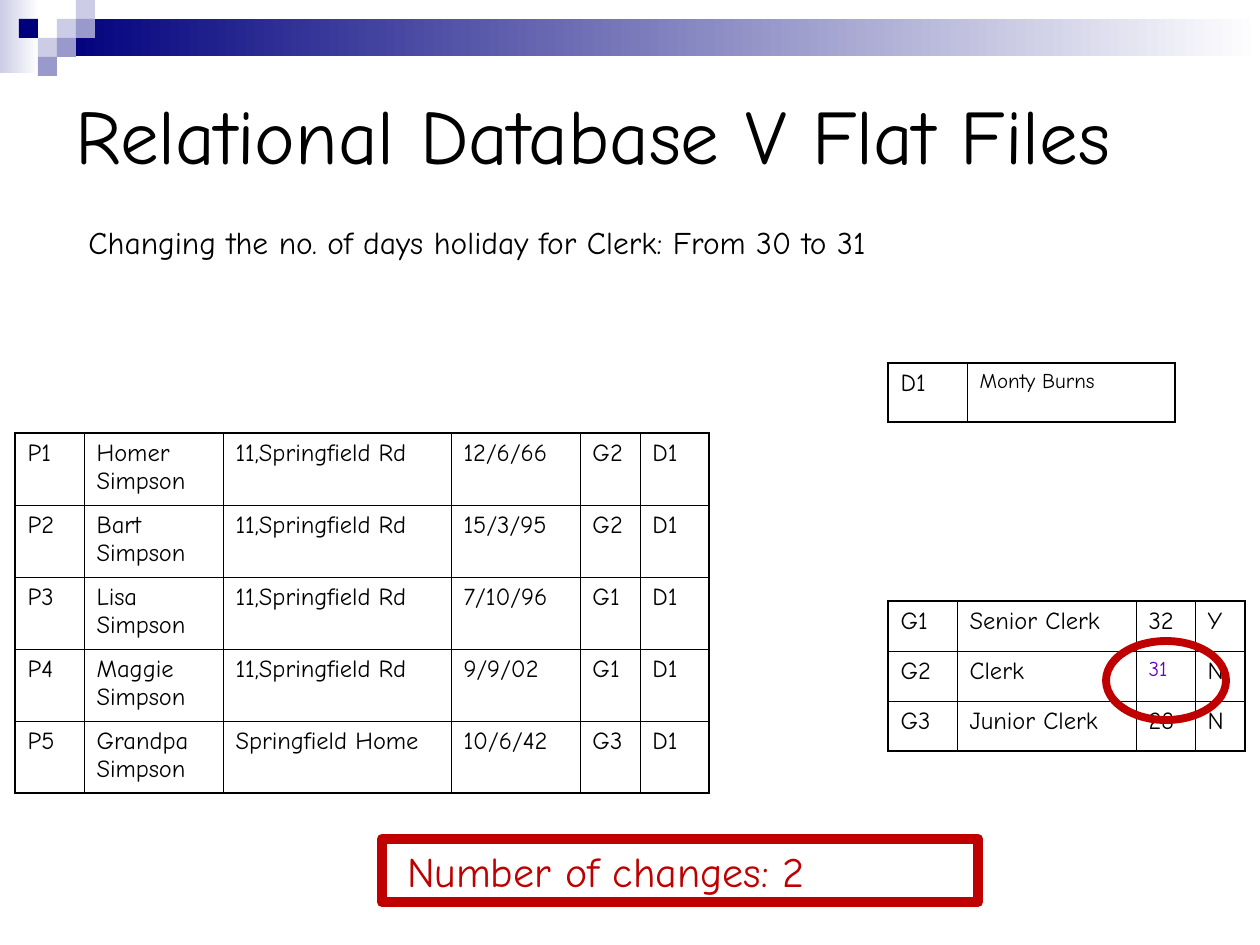
from dataclasses import dataclass, field

from lxml import etree
from pptx import Presentation
from pptx import util as u
from pptx.dml.color import RGBColor
from pptx.enum import shapes, text
from pptx.oxml.ns import qn

FONT = "Comic Neue"
COLORS = {
    "navy": "00007D", "lilac": "9999CC", "pale": "CCCCE6", "white": "FFFFFF",
    "black": "000000", "violet": "6600CC", "red": "C00000",
}
OUTER, INNER = 1.08, 0.45  # table rules, in points
SQUARE = 19


@dataclass(frozen=True)
class TextStyle:
    size: int
    color: str = "black"


@dataclass(frozen=True)
class Box:
    left: int
    top: int
    width: int
    height: int


@dataclass(frozen=True)
class Square:
    column: int
    row: int
    color: str


@dataclass(frozen=True)
class Grid:
    left: int
    top: int
    columns: list[int]
    row_height: int
    rows: list[list[str]]
    special: dict[tuple[int, int], TextStyle] = field(default_factory=dict)


CELL = TextStyle(14)

SQUARES = [
    Square(3, 1, "pale"), Square(4, 0, "pale"), Square(4, 1, "lilac"),
    Square(2, 2, "pale"), Square(1, 1, "navy"), Square(3, 2, "lilac"),
    Square(2, 3, "lilac"),
]

DEPARTMENT = Grid(888, 363, [79, 208], 59, [["D1", "Monty Burns"]],
                  {(0, 1): TextStyle(12)})
GRADES = Grid(888, 601, [69, 179, 59, 50], 50, [
    ["G1", "Senior Clerk", "32", "Y"],
    ["G2", "Clerk", "31", "N"],
    ["G3", "Junior Clerk", "28", "N"],
], {(1, 2): TextStyle(12, "violet")})
PEOPLE = Grid(15, 433, [69, 139, 228, 129, 60, 69], 72, [
    ["P1", "Homer Simpson", "11,Springfield Rd", "12/6/66", "G2", "D1"],
    ["P2", "Bart Simpson", "11,Springfield Rd", "15/3/95", "G2", "D1"],
    ["P3", "Lisa Simpson", "11,Springfield Rd", "7/10/96", "G1", "D1"],
    ["P4", "Maggie Simpson", "11,Springfield Rd", "9/9/02", "G1", "D1"],
    ["P5", "Grandpa Simpson", "Springfield Home", "10/6/42", "G3", "D1"],
])


def px(length: int) -> u.Emu:
    return u.Emu(round(length * 914400 / 126))


def rgb(name: str) -> RGBColor:
    return RGBColor.from_string(COLORS[name])


def frame(box: Box) -> tuple:
    return px(box.left), px(box.top), px(box.width), px(box.height)


def write(holder, words: str, style: TextStyle) -> None:
    holder.text = words
    paragraph = holder.paragraphs[0]
    paragraph.alignment = text.PP_ALIGN.LEFT
    for run in paragraph.runs:
        run.font.name = FONT
        run.font.size = u.Pt(style.size)
        run.font.color.rgb = rgb(style.color)


def add_label(slide, box: Box, words: str, style: TextStyle, wrap: bool) -> None:
    label = slide.shapes.add_textbox(*frame(box)).text_frame
    label.word_wrap = wrap
    label.vertical_anchor = text.MSO_ANCHOR.MIDDLE
    write(label, words, style)


def add_block(slide, box: Box, color: str, fade: bool = False) -> None:
    block = slide.shapes.add_shape(shapes.MSO_SHAPE.RECTANGLE, *frame(box))
    block.shadow.inherit = False
    block.line.fill.background()
    if fade:
        block.fill.gradient()
        block.fill.gradient_angle = 0
        for stop, name in zip(block.fill.gradient_stops, (color, "white")):
            stop.color.rgb = rgb(name)
    else:
        block.fill.solid()
        block.fill.fore_color.rgb = rgb(color)


def add_outline(slide, kind, box: Box, points: float):
    outline = slide.shapes.add_shape(kind, *frame(box))
    outline.shadow.inherit = False
    outline.fill.background()
    outline.line.color.rgb = rgb("red")
    outline.line.width = u.Pt(points)
    return outline


def rule_cell(cell, edges: dict[str, bool]) -> None:
    properties = cell._tc.get_or_add_tcPr()
    for tag, outer in edges.items():
        width = u.Pt(OUTER if outer else INNER)
        line = etree.SubElement(properties, qn(f"a:{tag}"), w=str(width))
        fill = etree.SubElement(line, qn("a:solidFill"))
        etree.SubElement(fill, qn("a:srgbClr"), val=COLORS["black"])


def add_grid(slide, grid: Grid) -> None:
    last_row, last_column = len(grid.rows) - 1, len(grid.columns) - 1
    box = Box(grid.left, grid.top, sum(grid.columns),
              grid.row_height * len(grid.rows))
    table = slide.shapes.add_table(last_row + 1, last_column + 1, *frame(box)).table
    table.first_row = table.horz_banding = False
    for column, width in zip(table.columns, grid.columns):
        column.width = px(width)
    for r, record in enumerate(grid.rows):
        table.rows[r].height = px(grid.row_height)
        for c, words in enumerate(record):
            cell = table.cell(r, c)
            rule_cell(cell, {"lnL": c == 0, "lnR": c == last_column,
                             "lnT": r == 0, "lnB": r == last_row})
            cell.fill.background()
            write(cell.text_frame, words, grid.special.get((r, c), CELL))


def main() -> None:
    deck = Presentation()
    deck.slide_width, deck.slide_height = px(1260), px(945)
    slide = deck.slides.add_slide(deck.slide_layouts[6])

    # Header band and squares
    add_block(slide, Box(0, 0, 39, 73), "pale", fade=True)
    add_block(slide, Box(57, 19, 1203, 37), "navy", fade=True)
    for square in SQUARES:
        add_block(slide, Box(square.column * SQUARE, square.row * SQUARE,
                             SQUARE, SQUARE), square.color)

    # Title
    add_label(slide, Box(63, 63, 1197, 141), "Relational Database V Flat Files",
              TextStyle(44), wrap=True)

    # Related tables
    for grid in (DEPARTMENT, GRADES, PEOPLE):
        add_grid(slide, grid)

    # Count of changes
    count = add_outline(slide, shapes.MSO_SHAPE.RECTANGLE,
                        Box(382, 839, 596, 63), 6).text_frame
    count.margin_left = px(25)
    count.vertical_anchor = text.MSO_ANCHOR.MIDDLE
    write(count, "Number of changes: 2", TextStyle(24, "red"))

    # Task line and ring around the changed value
    add_label(slide, Box(76, 217, 805, 50),
              "Changing the no. of days holiday for Clerk: From 30 to 31",
              TextStyle(18), wrap=False)
    add_outline(slide, shapes.MSO_SHAPE.OVAL, Box(1106, 641, 120, 79), 4.5)

    deck.save("out.pptx")


if __name__ == "__main__":
    main()
